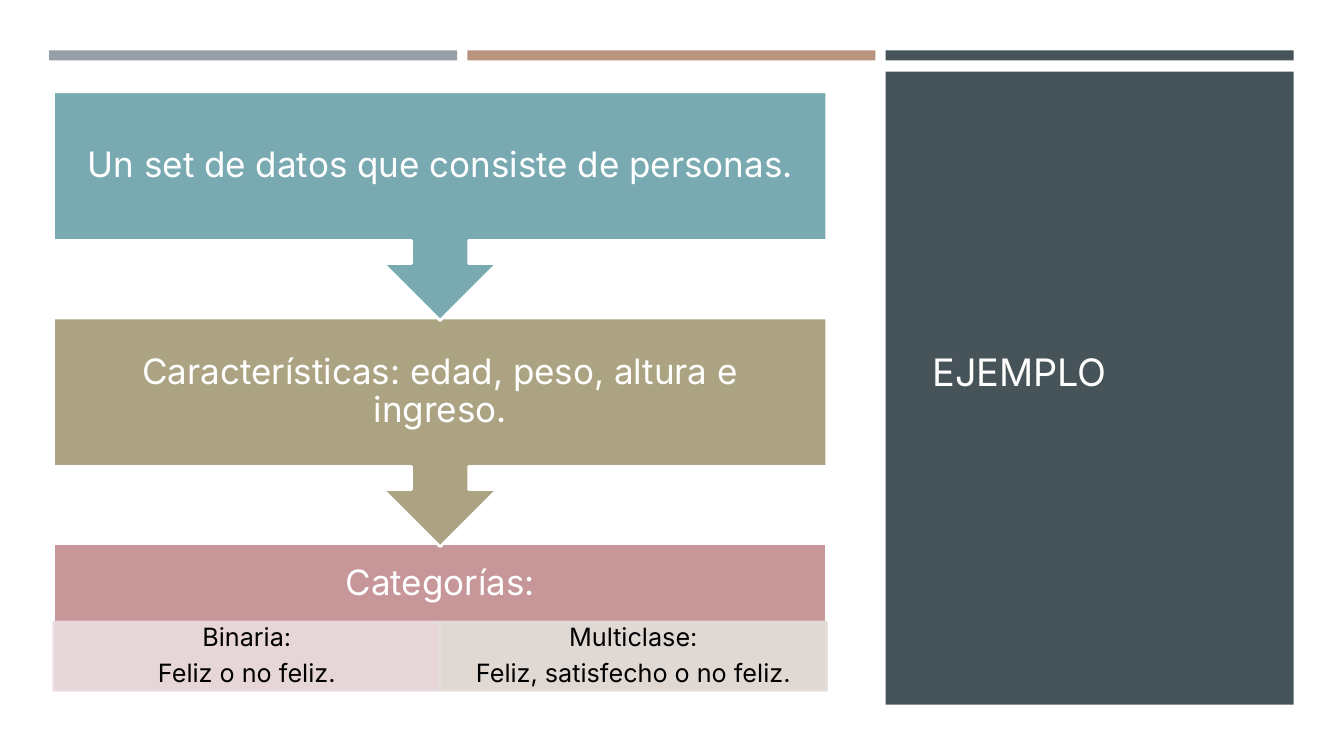
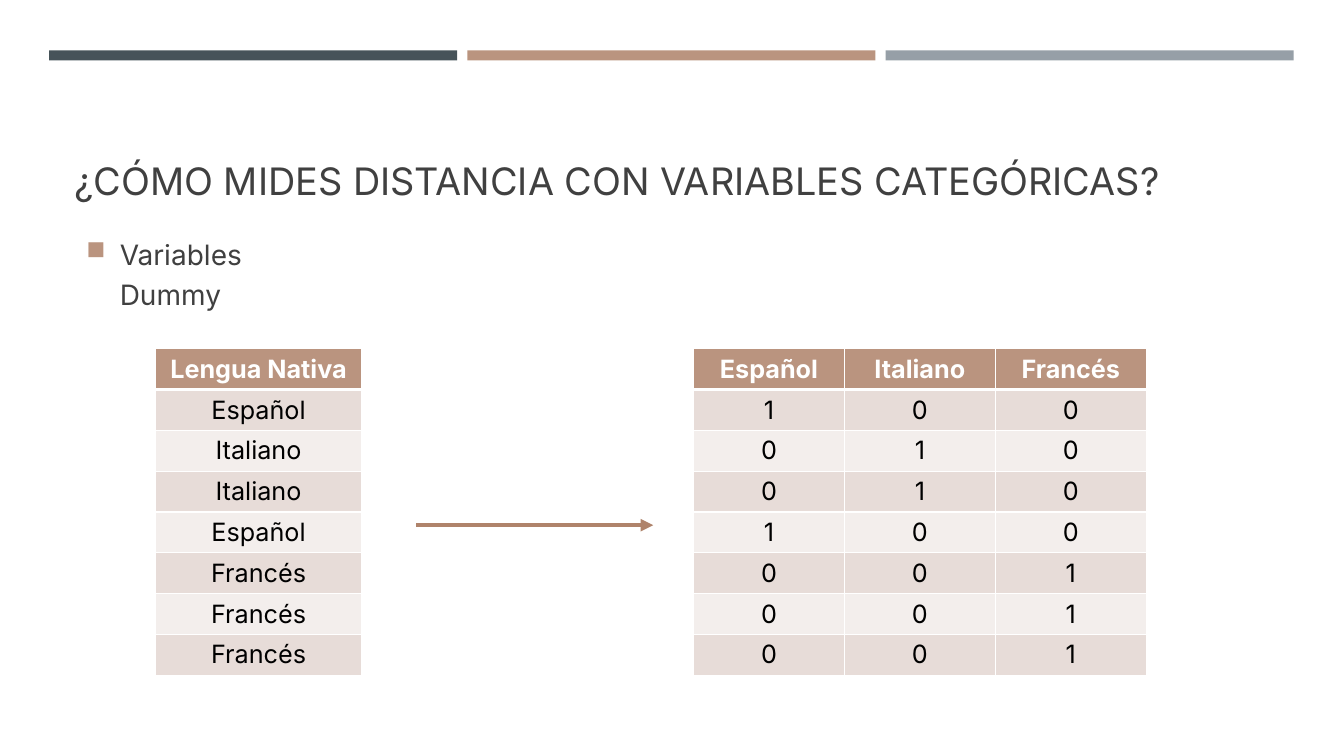
from dataclasses import dataclass

from lxml import etree
from pptx import Presentation
from pptx.dml.color import RGBColor
from pptx.enum.shapes import MSO_CONNECTOR, MSO_SHAPE
from pptx.enum.text import MSO_ANCHOR, PP_ALIGN
from pptx.oxml.ns import qn
from pptx.util import Inches, Pt

RECTANGLE = MSO_SHAPE.RECTANGLE
CALLOUT = MSO_SHAPE.UP_ARROW_CALLOUT
STRAIGHT = MSO_CONNECTOR.STRAIGHT
MIDDLE, BOTTOM = MSO_ANCHOR.MIDDLE, MSO_ANCHOR.BOTTOM
LEFT, CENTER = PP_ALIGN.LEFT, PP_ALIGN.CENTER

FONT = "Inter"
WHITE, BLACK, INK = "FFFFFF", "000000", "404040"
SLATE, CLAY, GREY = "465359", "BA947F", "969FA7"
ARROW_CLAY = "AF836B"
ROW_FILLS = ("E7DCD8", "F3EEEC")

SLIDE_WIDTH, SLIDE_HEIGHT = Inches(13.33), Inches(7.5)

# All places are on a grid of 100 columns by 100 rows.
BAND_LEFT, BAND_STEP, BAND_WIDTH = 3.66, 31.12, 30.36
BAND_TOP, BAND_HEIGHT = 6.67, 1.33
FLOW_LEFT, FLOW_WIDTH = 3.98, 57.53
FLOW_TOP, FLOW_STEP = 12.13, 29.92
STEP_HEIGHT, CALLOUT_HEIGHT, HEADING_HEIGHT = 19.6, 30.27, 10.67
OPTION_TOP, OPTION_HEIGHT = 82.27, 9.07
TABLE_TOP, TABLE_ROW = 46.13, 5.4


@dataclass(frozen=True)
class Area:
    """A rectangle in grid columns and rows."""
    left: float
    top: float
    width: float
    height: float

    def lengths(self) -> tuple[int, int, int, int]:
        """Return left, top, width and height as slide lengths."""
        return (columns(self.left), rows(self.top),
                columns(self.width), rows(self.height))


@dataclass(frozen=True)
class TextStyle:
    """The look of one kind of text; insets are in inches."""
    size: float
    color: str
    align: PP_ALIGN = LEFT
    anchor: MSO_ANCHOR = MIDDLE
    line_spacing: float | None = 0.9
    space_before: float = 0
    space_after: float = 0
    inset_x: float = 0.1
    inset_y: float = 0.05
    bold: bool = False


@dataclass(frozen=True)
class Step:
    """One step of the flow that leads to the next one."""
    text: str
    color: str


@dataclass(frozen=True)
class Option:
    """One kind of category below the last step."""
    text: str
    color: str


PANEL_TITLE = TextStyle(27, "FFFEFF")
SLIDE_TITLE = TextStyle(27, INK, anchor=BOTTOM)
BULLET = TextStyle(20, INK, line_spacing=1.2, space_before=4, space_after=6)
STEP_TEXT = TextStyle(25, WHITE, CENTER, space_after=8.75,
                      inset_x=0.19, inset_y=0.19)
OPTION_TEXT = TextStyle(18, BLACK, CENTER, space_after=6.3,
                        inset_x=0.14, inset_y=0.03)
HEADER_CELL = TextStyle(18, WHITE, CENTER, line_spacing=None, bold=True)
BODY_CELL = TextStyle(18, BLACK, CENTER, line_spacing=None)

STEPS = (
    Step("Un set de datos que consiste de personas.", "79AAB1"),
    Step("Características: edad, peso, altura e ingreso.", "ACA383"),
)
CATEGORIES = Step("Categorías:", "C69699")
OPTIONS = (
    Option("Binaria:\nFeliz o no feliz.", "EADDDE"),
    Option("Multiclase:\nFeliz, satisfecho o no feliz.", "E3E0D9"),
)
LANGUAGES = ["Español", "Italiano", "Francés"]
SPEAKERS = ["Español", "Italiano", "Italiano", "Español",
            "Francés", "Francés", "Francés"]


def columns(count: float) -> int:
    """Turn grid columns into a slide length."""
    return round(SLIDE_WIDTH * count / 100)


def rows(count: float) -> int:
    """Turn grid rows into a slide length."""
    return round(SLIDE_HEIGHT * count / 100)


def rgb(color: str) -> RGBColor:
    """Turn a hex string into a colour."""
    return RGBColor.from_string(color)


def format_text(text_frame, style: TextStyle) -> None:
    """Apply a style to every paragraph of a text frame."""
    for paragraph in text_frame.paragraphs:
        paragraph.alignment = style.align
        paragraph.line_spacing = style.line_spacing
        paragraph.space_before = Pt(style.space_before)
        paragraph.space_after = Pt(style.space_after)
        for run in paragraph.runs:
            run.font.name = FONT
            run.font.size = Pt(style.size)
            run.font.bold = style.bold
            run.font.color.rgb = rgb(style.color)


def write_text(shape, text: str, style: TextStyle) -> None:
    """Fill a shape with wrapped, styled text."""
    text_frame = shape.text_frame
    text_frame.word_wrap = True
    text_frame.vertical_anchor = style.anchor
    text_frame.margin_left = text_frame.margin_right = Inches(style.inset_x)
    text_frame.margin_top = text_frame.margin_bottom = Inches(style.inset_y)
    text_frame.text = text
    format_text(text_frame, style)


def add_text(slide, area: Area, text: str, style: TextStyle):
    """Add a text box and return it."""
    box = slide.shapes.add_textbox(*area.lengths())
    write_text(box, text, style)
    return box


def add_block(slide, area: Area, color: str, kind=RECTANGLE,
              line_color: str | None = None, line_width: float = 2):
    """Add a filled shape, with an outline if a line colour is given."""
    shape = slide.shapes.add_shape(kind, *area.lengths())
    shape.shadow.inherit = False
    shape.fill.solid()
    shape.fill.fore_color.rgb = rgb(color)
    if line_color is None:
        shape.line.fill.background()
    else:
        shape.line.color.rgb = rgb(line_color)
        shape.line.width = Pt(line_width)
    return shape


def set_opacity(shape, percent: int) -> None:
    """Make the fill and outline of a shape partly transparent."""
    for color in shape.element.spPr.iter(qn("a:srgbClr")):
        etree.SubElement(color, qn("a:alpha"), val=str(percent * 1000))


def add_bands(slide, colors: tuple[str, str, str]) -> None:
    """Draw the three bands along the top of a slide."""
    for index, color in enumerate(colors):
        left = BAND_LEFT + index * BAND_STEP
        add_block(slide, Area(left, BAND_TOP, BAND_WIDTH, BAND_HEIGHT), color)


def add_step(slide, index: int, step: Step) -> None:
    """Draw a flow step as a callout that points down."""
    top = FLOW_TOP + index * FLOW_STEP
    callout = add_block(slide, Area(FLOW_LEFT, top, FLOW_WIDTH, CALLOUT_HEIGHT),
                        step.color, CALLOUT, WHITE)
    callout.rotation = 180
    add_text(slide, Area(FLOW_LEFT, top, FLOW_WIDTH, STEP_HEIGHT),
             step.text, STEP_TEXT)


def add_categories(slide) -> None:
    """Draw the last flow step with its options side by side."""
    top = FLOW_TOP + len(STEPS) * FLOW_STEP
    add_block(slide, Area(FLOW_LEFT, top, FLOW_WIDTH, STEP_HEIGHT),
              CATEGORIES.color, line_color=WHITE)
    add_text(slide, Area(FLOW_LEFT, top, FLOW_WIDTH, HEADING_HEIGHT),
             CATEGORIES.text, STEP_TEXT)
    width = FLOW_WIDTH / len(OPTIONS)
    for index, option in enumerate(OPTIONS):
        area = Area(FLOW_LEFT + index * width, OPTION_TOP, width, OPTION_HEIGHT)
        block = add_block(slide, area, option.color,
                          line_color=option.color, line_width=1.75)
        set_opacity(block, 90)
        write_text(block, option.text, OPTION_TEXT)


def set_bullet(paragraph, indent: float) -> None:
    """Give a paragraph a square bullet with a hanging indent in inches."""
    properties = paragraph._p.get_or_add_pPr()
    properties.set("marL", str(Inches(indent)))
    properties.set("indent", str(-Inches(indent)))
    color = etree.SubElement(properties, qn("a:buClr"))
    etree.SubElement(color, qn("a:srgbClr"), val=CLAY)
    etree.SubElement(properties, qn("a:buSzPct"), val="92000")
    etree.SubElement(properties, qn("a:buChar"), char="■")


def set_borders(cell, top: float, bottom: float) -> None:
    """Draw white cell borders; the sides are one point wide."""
    properties = cell._tc.get_or_add_tcPr()
    for side, width in (("L", 1), ("R", 1), ("T", top), ("B", bottom)):
        line = etree.SubElement(properties, qn(f"a:ln{side}"), w=str(Pt(width)))
        fill = etree.SubElement(line, qn("a:solidFill"))
        etree.SubElement(fill, qn("a:srgbClr"), val=WHITE)


def add_data_table(slide, left: float, column_width: float,
                   data: list[list[str]]) -> None:
    """Draw a table with a header row and banded body rows."""
    area = Area(left, TABLE_TOP, column_width * len(data[0]),
                TABLE_ROW * len(data))
    table = slide.shapes.add_table(len(data), len(data[0]),
                                   *area.lengths()).table
    for column in table.columns:
        column.width = columns(column_width)
    for row_index, values in enumerate(data):
        table.rows[row_index].height = rows(TABLE_ROW)
        is_header = row_index == 0
        for column_index, value in enumerate(values):
            cell = table.cell(row_index, column_index)
            set_borders(cell, top=3 if row_index == 1 else 1,
                        bottom=3 if is_header else 1)
            cell.fill.solid()
            cell.fill.fore_color.rgb = rgb(
                CLAY if is_header else ROW_FILLS[(row_index - 1) % 2])
            cell.vertical_anchor = MIDDLE
            cell.text_frame.text = value
            format_text(cell.text_frame, HEADER_CELL if is_header else BODY_CELL)


def add_arrow(slide, start: float, end: float, row: float) -> None:
    """Draw a horizontal arrow between two columns."""
    arrow = slide.shapes.add_connector(STRAIGHT, columns(start), rows(row),
                                       columns(end), rows(row))
    arrow.line.color.rgb = rgb(ARROW_CLAY)
    arrow.line.width = Pt(3)
    etree.SubElement(arrow.line._get_or_add_ln(), qn("a:tailEnd"),
                     type="triangle")
    etree.SubElement(arrow._element.spPr, qn("a:effectLst"))


def build_example(slide) -> None:
    """Build the slide with the example flow."""
    add_block(slide, Area(BAND_LEFT + 2 * BAND_STEP, 9.47, BAND_WIDTH, 83.73),
              SLATE)
    add_text(slide, Area(68.63, 15.2, 24.68, 68.67), "EJEMPLO", PANEL_TITLE)
    add_bands(slide, (GREY, CLAY, SLATE))
    add_categories(slide)
    for index, step in reversed(list(enumerate(STEPS))):
        add_step(slide, index, step)


def build_dummies(slide) -> None:
    """Build the slide that turns a category into dummy variables."""
    add_bands(slide, (SLATE, CLAY, GREY))
    add_text(slide, Area(4.8, 10.27, 90.45, 17.33),
             "¿CÓMO MIDES DISTANCIA CON VARIABLES CATEGÓRICAS?", SLIDE_TITLE)
    body = add_text(slide, Area(5.7, 30, 20.55, 11.6), "Variables Dummy", BULLET)
    set_bullet(body.text_frame.paragraphs[0], 0.33)
    native = [["Lengua Nativa"]] + [[speaker] for speaker in SPEAKERS]
    dummies = [LANGUAGES] + [
        [str(int(speaker == language)) for language in LANGUAGES]
        for speaker in SPEAKERS]
    add_data_table(slide, 11.55, 15.38, native)
    add_data_table(slide, 51.6, 11.23, dummies)
    add_arrow(slide, 30.98, 48.6, 69.47)


def main() -> None:
    """Build and save the presentation."""
    presentation = Presentation()
    presentation.slide_width = SLIDE_WIDTH
    presentation.slide_height = SLIDE_HEIGHT
    blank_layout = presentation.slide_layouts[6]
    for build in (build_example, build_dummies):
        build(presentation.slides.add_slide(blank_layout))
    presentation.save("out.pptx")


main()
